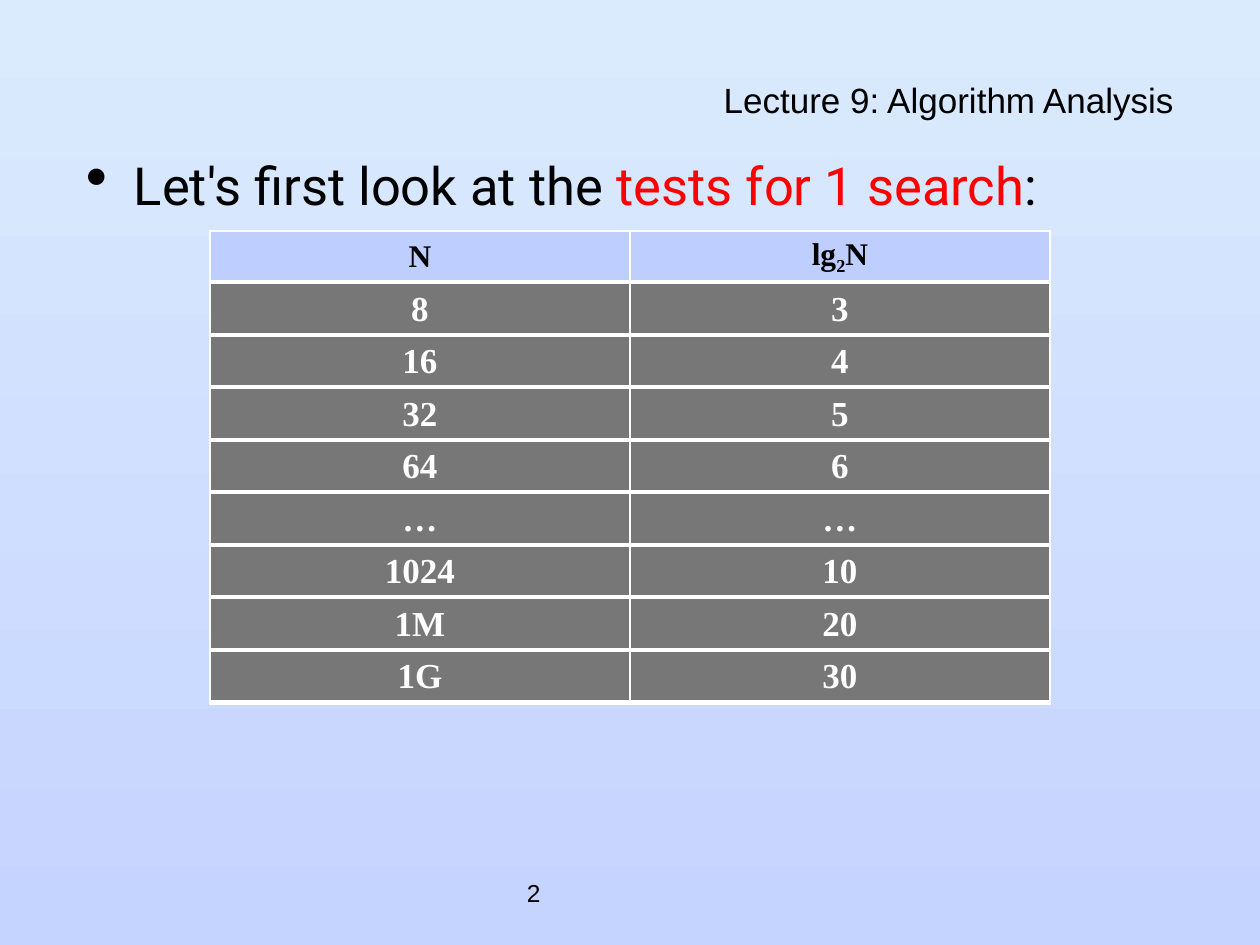
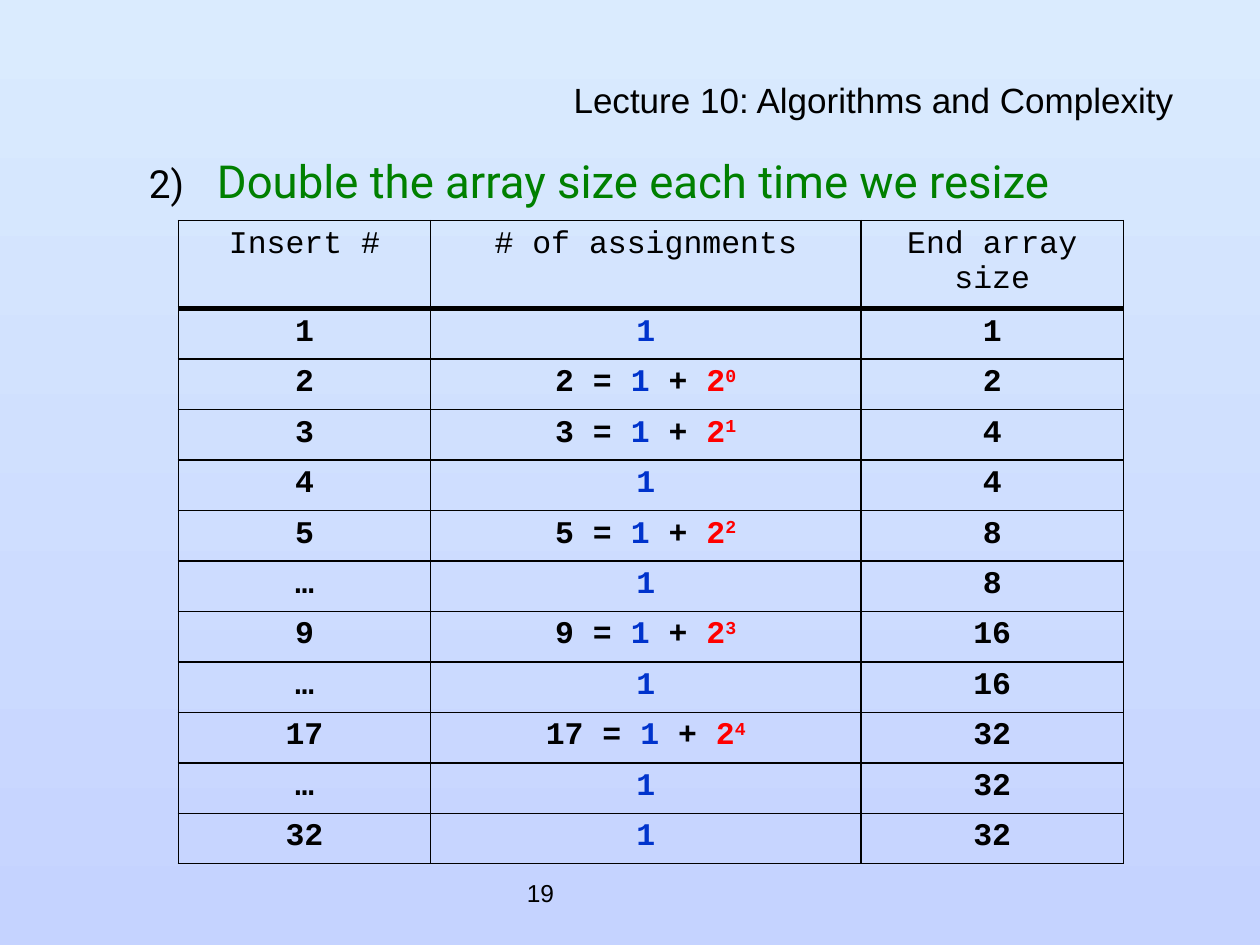
from dataclasses import dataclass
from typing import Optional

from lxml.etree import SubElement
from pptx import Presentation
from pptx.dml.color import RGBColor
from pptx.enum.text import MSO_ANCHOR, MSO_AUTO_SIZE, PP_ALIGN
from pptx.oxml.ns import qn
from pptx.util import Emu, Inches, Pt

GRID = Inches(1) / 12  # the slide is 120 columns by 90 rows
SLIDE_COLUMNS, SLIDE_ROWS = 120, 90

BLACK, WHITE, RED, GREEN, BLUE = "000000", "FFFFFF", "FF0000", "008000", "0033CC"
SKY_TOP, SKY_BOTTOM = "DAEBFE", "C5D3FF"
HEADER_FILL, ROW_FILL = "BECEFF", "777777"


@dataclass(frozen=True)
class Box:
    """A rectangle in grid columns and rows."""
    left: float
    top: float
    width: float
    height: float

    def lengths(self) -> list[Emu]:
        return [grid(value) for value in (self.left, self.top, self.width, self.height)]


@dataclass(frozen=True)
class Piece:
    """A run of text; an empty color means that of its paragraph."""
    text: str
    color: Optional[str] = None
    baseline: int = 0


@dataclass(frozen=True)
class Bullet:
    tag: str
    attributes: dict[str, str]
    percent: int
    margin: float
    hanging: float
    level: int = 0


@dataclass(frozen=True)
class CellStyle:
    font: str
    size: int
    color: str
    bold: bool
    border: str
    fill: Optional[str] = None
    anchor: MSO_ANCHOR = MSO_ANCHOR.TOP
    margin: float = 0.05
    top_line: int = 1
    bottom_line: int = 1


TITLE_BOX = Box(7, 8, 106, 4)
BODY_BOX = Box(7, 14, 106, 66)
NUMBER_BOX = Box(49, 82, 25, 6)

DOT = Bullet("a:buChar", {"char": "•"}, percent=120, margin=0.38, hanging=0.38)
SECOND = Bullet("a:buAutoNum", {"type": "arabicParenR", "startAt": "2"},
                percent=85, margin=1.04, hanging=0.54, level=1)

LOG_HEADER = CellStyle("Times New Roman", 18, BLACK, True, WHITE, HEADER_FILL,
                       MSO_ANCHOR.MIDDLE, margin=0.03, bottom_line=3)
LOG_ROW = CellStyle("Times New Roman", 20, WHITE, True, WHITE, ROW_FILL,
                    MSO_ANCHOR.MIDDLE, margin=0.03, bottom_line=3)
INSERT_HEADER = CellStyle("Courier New", 18, BLACK, False, BLACK, bottom_line=3)
INSERT_FIRST = CellStyle("Courier New", 18, BLACK, True, BLACK, top_line=3)
INSERT_ROW = CellStyle("Courier New", 18, BLACK, True, BLACK)

LOGARITHMS = [("8", "3"), ("16", "4"), ("32", "5"), ("64", "6"), ("…", "…"),
              ("1024", "10"), ("1M", "20"), ("1G", "30")]
# insert number, exponent of the copying cost (if the array grows), end size
INSERTS = [("1", None, 1), ("2", 0, 2), ("3", 1, 4), ("4", None, 4), ("5", 2, 8),
           ("…", None, 8), ("9", 3, 16), ("…", None, 16), ("17", 4, 32),
           ("…", None, 32), ("32", None, 32)]


def grid(units: float) -> Emu:
    return Emu(round(units * GRID))


def rgb(color: str) -> RGBColor:
    return RGBColor.from_string(color)


def write(paragraph, pieces: list[Piece], *, font: str, size: int,
          color: str = BLACK, bold: bool = False, align=PP_ALIGN.LEFT) -> None:
    paragraph.alignment = align
    paragraph.space_before = Pt(0)
    for piece in pieces:
        run = paragraph.add_run()
        run.text = piece.text
        run.font.name = font
        run.font.size = Pt(size)
        run.font.bold = bold
        run.font.color.rgb = rgb(piece.color or color)
        if piece.baseline:
            run.font._element.set("baseline", str(piece.baseline * 1000))


def add_text_box(slide, box: Box, anchor=MSO_ANCHOR.TOP):
    """Add a wrapping text box and return its first paragraph."""
    frame = slide.shapes.add_textbox(*box.lengths()).text_frame
    frame.word_wrap = True
    frame.vertical_anchor = anchor
    return frame.paragraphs[0]


def set_bullet(paragraph, bullet: Bullet) -> None:
    paragraph.level = bullet.level
    properties = paragraph._p.get_or_add_pPr()
    properties.set("marL", str(Inches(bullet.margin)))
    properties.set("indent", str(-Inches(bullet.hanging)))
    color = SubElement(properties, qn("a:buClr"))
    SubElement(color, qn("a:srgbClr"), val=BLACK)
    SubElement(properties, qn("a:buSzPct"), val=str(bullet.percent * 1000))
    SubElement(properties, qn(bullet.tag), bullet.attributes)


def add_slide(presentation, title: str, number: int, bullet: Bullet,
              body: list[Piece], body_size: int):
    """Add a slide with its title, page number and one bullet line."""
    slide = presentation.slides.add_slide(presentation.slide_layouts.get_by_name("Title Only"))
    number_paragraph = add_text_box(slide, NUMBER_BOX, MSO_ANCHOR.MIDDLE)
    write(number_paragraph, [Piece(str(number))], font="Arial", size=14)

    heading = slide.shapes.title
    heading.left, heading.top, heading.width, heading.height = TITLE_BOX.lengths()
    frame = heading.text_frame
    frame.auto_size = MSO_AUTO_SIZE.NONE
    frame.vertical_anchor = MSO_ANCHOR.MIDDLE
    frame.paragraphs[0].line_spacing = 0.7
    write(frame.paragraphs[0], [Piece(title)], font="Arial", size=20, align=PP_ALIGN.RIGHT)

    paragraph = add_text_box(slide, BODY_BOX)
    set_bullet(paragraph, bullet)
    write(paragraph, body, font="Roboto", size=body_size)
    return slide


def draw_borders(cell, style: CellStyle) -> None:
    properties = cell._tc.get_or_add_tcPr()
    widths = {"a:lnL": 1, "a:lnR": 1, "a:lnT": style.top_line, "a:lnB": style.bottom_line}
    for tag, width in widths.items():
        line = SubElement(properties, qn(tag), w=str(Pt(width)))
        fill = SubElement(line, qn("a:solidFill"))
        SubElement(fill, qn("a:srgbClr"), val=style.border)


def fill_cell(cell, pieces: list[Piece], style: CellStyle) -> None:
    draw_borders(cell, style)
    if style.fill:
        cell.fill.solid()
        cell.fill.fore_color.rgb = rgb(style.fill)
    else:
        cell.fill.background()
    cell.vertical_anchor = style.anchor
    cell.margin_top = cell.margin_bottom = Inches(style.margin)
    write(cell.text_frame.paragraphs[0], pieces, font=style.font, size=style.size,
          color=style.color, bold=style.bold, align=PP_ALIGN.CENTER)


def add_grid_table(slide, left: float, top: float, columns: list[float],
                   heights: list[float], rows: list[list[list[Piece]]],
                   styles: list[CellStyle]) -> None:
    """Add a table with one height and one style for each row."""
    box = Box(left, top, sum(columns), sum(heights))
    table = slide.shapes.add_table(len(rows), len(columns), *box.lengths()).table
    table.first_row = table.horz_banding = False
    for column, width in zip(table.columns, columns):
        column.width = grid(width)
    for row, height, contents, style in zip(table.rows, heights, rows, styles):
        row.height = grid(height)
        for cell, pieces in zip(row.cells, contents):
            fill_cell(cell, pieces, style)


def assignments(insert: str, exponent: Optional[int]) -> list[Piece]:
    one = Piece("1", BLUE)
    if exponent is None:
        return [one]
    return [Piece(f"{insert} = "), one, Piece(" + "), Piece("2", RED),
            Piece(str(exponent), RED, baseline=30)]


def build_search_slide(presentation) -> None:
    body = [Piece("Let's first look at the "), Piece("tests for 1 search", RED), Piece(":")]
    slide = add_slide(presentation, "Lecture 9: Algorithm Analysis", 2, DOT, body, 30)
    header = [[Piece("N")], [Piece("lg"), Piece("2", baseline=-25), Piece("N")]]
    rows = [header] + [[[Piece(text)] for text in pair] for pair in LOGARITHMS]
    for index, row in enumerate(rows):
        style = ROW_STYLE if index else LOG_HEADER
        add_grid_table(slide, 20, 22 + 5 * index, [40, 40], [4.92], [row], [style])


ROW_STYLE = LOG_ROW


def build_resize_slide(presentation) -> None:
    body = [Piece("Double the array size each time we resize", GREEN)]
    slide = add_slide(presentation, "Lecture 10: Algorithms and Complexity", 19, SECOND, body, 26)
    header = [[Piece(text)] for text in ("Insert #", "# of assignments", "End array size")]
    rows = [header] + [[[Piece(insert)], assignments(insert, exponent), [Piece(str(size))]]
                       for insert, exponent, size in INSERTS]
    styles = [INSERT_HEADER, INSERT_FIRST] + [INSERT_ROW] * (len(INSERTS) - 1)
    heights = [8.4] + [4.8] * len(INSERTS)
    add_grid_table(slide, 17, 21, [24, 41, 25], heights, rows, styles)


def paint_background(master) -> None:
    fill = master.background.fill
    fill.gradient()
    fill.gradient_angle = 270
    for stop, color in zip(fill.gradient_stops, (SKY_TOP, SKY_BOTTOM)):
        stop.color.rgb = rgb(color)


def main() -> None:
    presentation = Presentation()
    presentation.slide_width = grid(SLIDE_COLUMNS)
    presentation.slide_height = grid(SLIDE_ROWS)
    paint_background(presentation.slide_master)
    build_search_slide(presentation)
    build_resize_slide(presentation)
    presentation.save("out.pptx")


if __name__ == "__main__":
    main()
